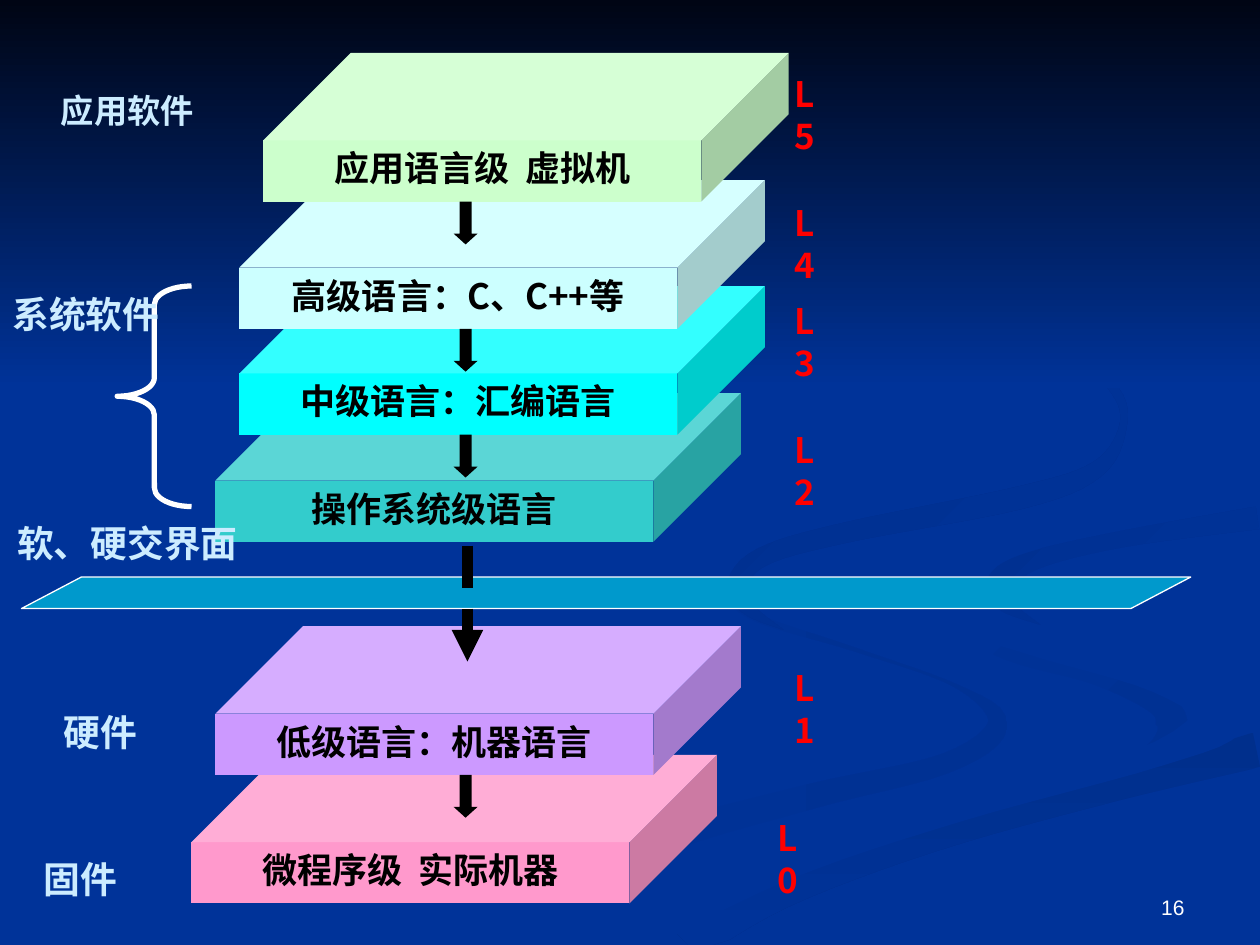
import math
from collections import namedtuple
from itertools import pairwise

from lxml import etree
from pptx import Presentation
from pptx import util as u
from pptx.dml.color import RGBColor
from pptx.enum import shapes, text
from pptx.oxml.ns import qn

COLORS = {
    "back": "003399", "night": "000514", "wave": "003193", "shade": "002F8C",
    "mist": "003091", "curl": "002F8E", "white": "FFFFFF", "black": "000000",
    "label": "CCECFF", "level": "FF0000", "border": "0099CC",
    "firmware": "FF99CC", "machine": "CC99FF", "system": "33CCCC",
    "assembly": "00FFFF", "high": "CCFFFF", "application": "CCFFCC",
}
CJK = "Noto Sans CJK SC"
SHAPE = shapes.MSO_SHAPE
ALIGN = text.PP_ALIGN
ANCHOR = text.MSO_ANCHOR

PAGE_WIDTH, PAGE_HEIGHT = 10, 7.5
CUBE_WIDTH, CUBE_HEIGHT = 4.17, 1.18
ARROW_LEFT, ARROW_WIDTH, ARROW_HEIGHT = 3.6, 0.19, 0.34
AXIS = 3.71
BORDER_TOP, BORDER_HEIGHT = 4.58, 0.25
CURVE_STEPS = 6

Tier = namedtuple("Tier", "words left top fill level_left level_top arrow")
TIERS = [
    Tier("微程序级  实际机器", 1.52, 5.99, "firmware", 6.07, 6.43, False),
    Tier("低级语言：机器语言", 1.71, 4.97, "machine", 6.21, 5.24, True),
    Tier("操作系统级语言", 1.71, 3.12, "system", 6.21, 3.35, False),
    Tier("中级语言：汇编语言", 1.9, 2.27, "assembly", 6.21, 2.33, True),
    Tier("高级语言：C、C++等", 1.9, 1.43, "high", 6.21, 1.55, True),
    Tier("应用语言级  虚拟机", 2.09, 0.42, "application", 6.21, 0.53, True),
]

Ribbon = namedtuple("Ribbon", "start end angle stations")
Station = namedtuple("Station", "x y width")
RIBBONS = {
    "lower wave": Ribbon("back", "wave", 0, [
        Station(5.73, 4.62, 0), Station(5.95, 4.88, 0.06), Station(6.8, 5.16, 0.03),
        Station(7.6, 5.45, 0.03), Station(7.92, 5.75, 0.16), Station(7.5, 6.06, 0.16),
        Station(6.4, 6.33, 0.2), Station(5, 6.74, 0.26), Station(3.3, 7.49, 0.5)]),
    "inner wave": Ribbon("back", "wave", 45, [
        Station(7.24, 4.64, 0), Station(7.4, 4.9, 0.05), Station(8, 5.19, 0.1),
        Station(8.7, 5.37, 0.13), Station(9.2, 5.58, 0.2), Station(9.3, 5.77, 0.25),
        Station(9.2, 5.92, 0.15), Station(8.94, 6.05, 0)]),
    "dark sweep": Ribbon("shade", "back", 90, [
        Station(9.98, 5.95, 0.28), Station(8.8, 6.27, 0.2), Station(7.4, 6.65, 0.22),
        Station(6.2, 7.08, 0.26), Station(5.37, 7.49, 0.4)]),
    "plain sweep": Ribbon("back", "back", 0, [
        Station(9.99, 3.95, 0.15), Station(8.6, 4.17, 0.13), Station(7.7, 4.4, 0.3),
        Station(7.55, 4.7, 0.5), Station(8.2, 5.05, 0.3), Station(9.2, 5.35, 0.3),
        Station(9.7, 5.62, 0.45), Station(9.2, 5.98, 0.2), Station(7.6, 6.45, 0.15),
        Station(6.2, 6.9, 0.2), Station(4.9, 7.49, 0.3)]),
    "right ribbon": Ribbon("mist", "back", 45, [
        Station(8.26, 4.96, 0), Station(7.98, 4.8, 0.12), Station(7.94, 4.63, 0.22),
        Station(8.2, 4.45, 0.15), Station(8.9, 4.28, 0.13), Station(9.98, 4.11, 0.18)]),
    "upper curl": Ribbon("curl", "back", 45, [
        Station(7.62, 2.33, 0), Station(8.45, 2.76, 0.04), Station(8.85, 3.1, 0.07),
        Station(8.91, 3.4, 0.06), Station(8.7, 3.73, 0.13), Station(8.1, 3.95, 0.18),
        Station(6.7, 4.23, 0.16), Station(6.05, 4.42, 0.15), Station(5.85, 4.65, 0.16),
        Station(5.95, 4.84, 0.1), Station(6.22, 5, 0)]),
}


def rgb(name):
    return RGBColor.from_string(COLORS[name])


def smooth(stations):
    padded = [stations[0], *stations, stations[-1]]
    curve = []
    for before, start, end, after in zip(padded, padded[1:], padded[2:], padded[3:]):
        for step in range(CURVE_STEPS):
            t = step / CURVE_STEPS
            curve.append(Station(*(
                b + (c - a) * t / 2 + (2 * a - 5 * b + 4 * c - d) * t ** 2 / 2
                + (3 * b - a - 3 * c + d) * t ** 3 / 2
                for a, b, c, d in zip(before, start, end, after))))
    return curve + [stations[-1]]


def ribbon_edges(stations):
    curve = smooth(stations)
    headings = [math.atan2(b.y - a.y, b.x - a.x) for a, b in pairwise(curve)]
    headings.append(headings[-1])
    edges = [[(min(x - side * width / 2 * math.sin(heading), PAGE_WIDTH),
               min(y + side * width / 2 * math.cos(heading), PAGE_HEIGHT))
              for (x, y, width), heading in zip(curve, headings)]
             for side in (1, -1)]
    return edges[0] + edges[1][::-1]


def write(frame, words, size=20, color="black", font=CJK, bold=True, align=ALIGN.CENTER):
    para = frame.paragraphs[0]
    para.alignment = align
    span = para.add_run()
    span.text = words
    span.font.size = u.Pt(size)
    span.font.bold = bold
    span.font.name = font
    span.font.color.rgb = rgb(color)
    etree.SubElement(span.font._element, qn("a:ea"), typeface=font)


class Painter:
    def __init__(self, page):
        self.page = page
        page.background.fill.solid()
        page.background.fill.fore_color.rgb = rgb("back")

    def blend(self, shape, start, end, angle):
        shape.shadow.inherit = False
        shape.line.fill.background()
        shape.fill.gradient()
        shape.fill.gradient_angle = -angle % 360
        for stop, color in zip(shape.fill.gradient_stops, (start, end)):
            stop.color.rgb = rgb(color)

    def ribbon(self, ribbon):
        first, *rest = [(u.Inches(x), u.Inches(y)) for x, y in ribbon_edges(ribbon.stations)]
        builder = self.page.shapes.build_freeform(*first)
        builder.add_line_segments(rest, close=True)
        self.blend(builder.convert_to_shape(), ribbon.start, ribbon.end, ribbon.angle)

    def shape(self, kind, place, adjust=(), fill=None, line=None, width=0.75):
        shape = self.page.shapes.add_shape(kind, *map(u.Inches, place))
        shape.shadow.inherit = False
        for index, value in enumerate(adjust):
            shape.adjustments[index] = value
        if fill:
            shape.fill.solid()
            shape.fill.fore_color.rgb = rgb(fill)
        else:
            shape.fill.background()
        if line:
            shape.line.color.rgb = rgb(line)
            shape.line.width = u.Pt(width)
        else:
            shape.line.fill.background()
        return shape

    def cube(self, tier):
        place = (tier.left, tier.top, CUBE_WIDTH, CUBE_HEIGHT)
        frame = self.shape(SHAPE.CUBE, place, [0.588], tier.fill).text_frame
        frame.vertical_anchor = ANCHOR.MIDDLE
        frame.margin_top, frame.margin_bottom = u.Inches(0.02), u.Inches(0.07)
        write(frame, tier.words)

    def line(self, top, bottom, arrow=False):
        line = self.page.shapes.add_connector(
            shapes.MSO_CONNECTOR.STRAIGHT, *map(u.Inches, (AXIS, top, AXIS, bottom)))
        line.line.color.rgb = rgb("black")
        line.line.width = u.Pt(6)
        if arrow:
            etree.SubElement(line.line._get_or_add_ln(), qn("a:tailEnd"), type="triangle")
        etree.SubElement(line._element.spPr, qn("a:effectLst"))

    def label(self, words, place, anchor=ANCHOR.TOP, **style):
        frame = self.page.shapes.add_textbox(*map(u.Inches, place)).text_frame
        frame.word_wrap = True
        frame.vertical_anchor = anchor
        write(frame, words, **style)


def main():
    deck = Presentation()
    deck.slide_width, deck.slide_height = u.Inches(PAGE_WIDTH), u.Inches(PAGE_HEIGHT)
    painter = Painter(deck.slides.add_slide(deck.slide_layouts[6]))

    for ribbon in RIBBONS.values():
        painter.ribbon(ribbon)
    sky = painter.shape(SHAPE.RECTANGLE, (0, 0, PAGE_WIDTH, 3.08))
    painter.blend(sky, "night", "back", 90)
    painter.label("16", (7.17, 6.83, 2.33, 0.52), ANCHOR.BOTTOM, size=12,
                  color="white", font="Arial", bold=False, align=ALIGN.RIGHT)

    for tier in TIERS:
        painter.cube(tier)
    for tier in TIERS:
        if tier.arrow:
            place = (ARROW_LEFT, tier.top + CUBE_HEIGHT, ARROW_WIDTH, ARROW_HEIGHT)
            painter.shape(SHAPE.DOWN_ARROW, place, [0.5, 0.45], "black")

    painter.shape(SHAPE.PARALLELOGRAM, (0.17, BORDER_TOP, 9.28, BORDER_HEIGHT), [1.9],
                  "border", "white")
    painter.line(4.33, 4.67)
    painter.line(BORDER_TOP + BORDER_HEIGHT, 5.25, arrow=True)

    for level, tier in enumerate(TIERS):
        painter.label(f"L{level}", (tier.level_left, tier.level_top, 0.48, 0.44),
                      color="level", align=ALIGN.LEFT)

    painter.shape(SHAPE.LEFT_BRACE, (0.93, 2.27, 0.59, 1.75), [0.25, 0.5],
                  line="white", width=3)
    for words, place, size, align in [
        ("软、硬交界面", (0, 4.08, 2.02, 0.98), 21, ALIGN.CENTER),
        ("应用软件", (0.25, 0.67, 1.52, 1.22), 19, ALIGN.CENTER),
        ("固件", (0.25, 6.75, 1.01, 0.45), 21, ALIGN.LEFT),
        ("硬件", (0.17, 5.58, 1.26, 0.45), 21, ALIGN.CENTER),
        ("系统软件", (0, 2.27, 1.43, 0.45), 21, ALIGN.LEFT),
    ]:
        painter.label(words, place, size=size, color="label", align=align)

    deck.save("out.pptx")


if __name__ == "__main__":
    main()
